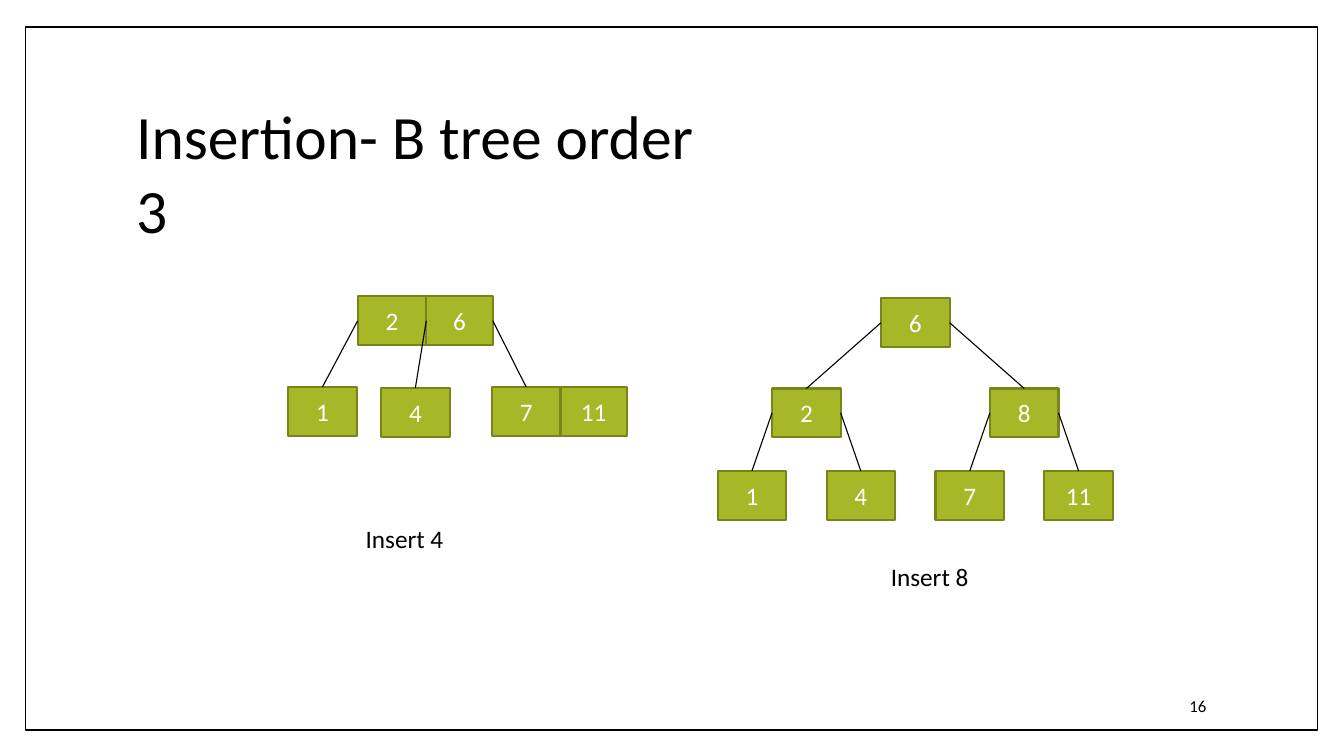
from pptx import Presentation
from pptx.dml.color import RGBColor
from pptx.enum.shapes import MSO_CONNECTOR, MSO_SHAPE
from pptx.enum.text import MSO_ANCHOR, MSO_AUTO_SIZE, PP_ALIGN
from pptx.oxml import parse_xml
from pptx.oxml.ns import nsdecls
from pptx.util import Pt

RECTANGLE = MSO_SHAPE.RECTANGLE
STRAIGHT = MSO_CONNECTOR.STRAIGHT
TOP = MSO_ANCHOR.TOP
MIDDLE = MSO_ANCHOR.MIDDLE
LEFT = PP_ALIGN.LEFT
CENTER = PP_ALIGN.CENTER
NO_FIT = MSO_AUTO_SIZE.NONE

FONT = "Calibri"
BLACK = "000000"
WHITE = "FFFFFF"
KEY_FILL = "A6B727"
KEY_LINE = "79851A"
KEY_WIDTH = 49
LAST_KEY_WIDTH = 47.5
KEY_HEIGHT = 34.8
TOP_SITE, LEFT_SITE, RIGHT_SITE = 0, 1, 3


def color(hex_value):
    return RGBColor.from_string(hex_value)


def write(shape, words, size, ink=BLACK, align=LEFT, anchor=TOP, inset=(0, 0), wrap=True):
    frame = shape.text_frame
    frame.auto_size = NO_FIT
    frame.word_wrap = wrap
    frame.vertical_anchor = anchor
    frame.margin_left, frame.margin_top = Pt(inset[0]), Pt(inset[1])
    frame.margin_right = frame.margin_bottom = 0
    paragraph = frame.paragraphs[0]
    paragraph.alignment = align
    run = paragraph.add_run()
    run.text = words
    run.font.name = FONT
    run.font.size = Pt(size)
    run.font.color.rgb = color(ink)
    return paragraph


def add_border(slide, left, top, width, height):
    border = slide.shapes.add_shape(RECTANGLE, Pt(left), Pt(top), Pt(width), Pt(height))
    border.shadow.inherit = False
    border.fill.background()
    border.line.color.rgb = color(BLACK)
    border.line.width = Pt(1)


def add_title(slide, left, top, width, height):
    title = slide.shapes.title
    title.left, title.top, title.width, title.height = Pt(left), Pt(top), Pt(width), Pt(height)
    write(title, "Insertion- B tree order 3", 44, inset=(0.7, 1.8))


def add_label(slide, words, left, top, width, height, size=18, inset=(0.7, 1.5)):
    label = slide.shapes.add_textbox(Pt(left), Pt(top), Pt(width), Pt(height))
    return write(label, words, size, inset=inset, wrap=False)


def add_key(slide, value, left, top, width=KEY_WIDTH):
    key = slide.shapes.add_shape(RECTANGLE, Pt(left), Pt(top), Pt(width), Pt(KEY_HEIGHT))
    key.shadow.inherit = False
    key.fill.solid()
    key.fill.fore_color.rgb = color(KEY_FILL)
    key.line.color.rgb = color(KEY_LINE)
    key.line.width = Pt(1.5)
    write(key, value, 18, WHITE, CENTER, MIDDLE)
    return key


def add_pair(slide, first, second, left, top):
    last = add_key(slide, second, left + KEY_WIDTH, top, LAST_KEY_WIDTH)
    return add_key(slide, first, left, top), last


def add_branch(slide, parent, side, child):
    branch = slide.shapes.add_connector(STRAIGHT, 0, 0, 0, 0)
    branch.begin_connect(parent, side)
    branch.end_connect(child, TOP_SITE)
    branch.line.color.rgb = color(BLACK)
    branch.line.width = Pt(0.79)
    branch._element.spPr.append(parse_xml(f"<a:effectLst {nsdecls('a')}/>"))


def add_insert_four(slide, left, top):
    child_top = top + 64.8
    two, six = add_pair(slide, "2", "6", left + 49.7, top)
    one = add_key(slide, "1", left, child_top)
    four = add_key(slide, "4", left + 66.4, child_top + 0.7)
    seven, _ = add_pair(slide, "7", "11", left + 145.6, child_top)
    for parent, side, child in [(two, LEFT_SITE, one), (two, RIGHT_SITE, four), (six, RIGHT_SITE, seven)]:
        add_branch(slide, parent, side, child)
    add_label(slide, "Insert 4", left + 54.7, top + 160.5, 57.6, 23.8)


def add_insert_eight(slide, left, top):
    pitch = 77.8
    rows = [(0, ["6"]), (64.4, ["2", "8"]), (123.4, ["1", "4", "7", "11"])]
    leaf_count = len(rows[-1][1])
    parents = []
    for drop, values in rows:
        share = leaf_count / len(values)
        keys = [
            add_key(slide, value, left + pitch * (share * (i + 0.5) - 0.5), top + drop)
            for i, value in enumerate(values)
        ]
        if parents:
            for i, key in enumerate(keys):
                add_branch(slide, parents[i // 2], RIGHT_SITE if i % 2 else LEFT_SITE, key)
        parents = keys
    add_label(slide, "Insert 8", left + 123, top + 186.5, 57.6, 23.8)


def add_page_number(slide, left, top, width, height):
    number = add_label(slide, "16", left, top, width, height, 12, (2.9, 0))
    number.line_spacing = Pt(12.3)


def main():
    deck = Presentation()
    deck.slide_width, deck.slide_height = Pt(960), Pt(540)
    slide = deck.slides.add_slide(deck.slide_layouts[5])
    add_border(slide, 18, 19.4, 923, 502)
    add_title(slide, 96.5, 68.4, 420, 54.7)
    add_insert_four(slide, 205.8, 211.7)
    add_insert_eight(slide, 512.6, 213.1)
    add_page_number(slide, 846.7, 499, 18.7, 13.7)
    deck.save("out.pptx")


if __name__ == "__main__":
    main()
